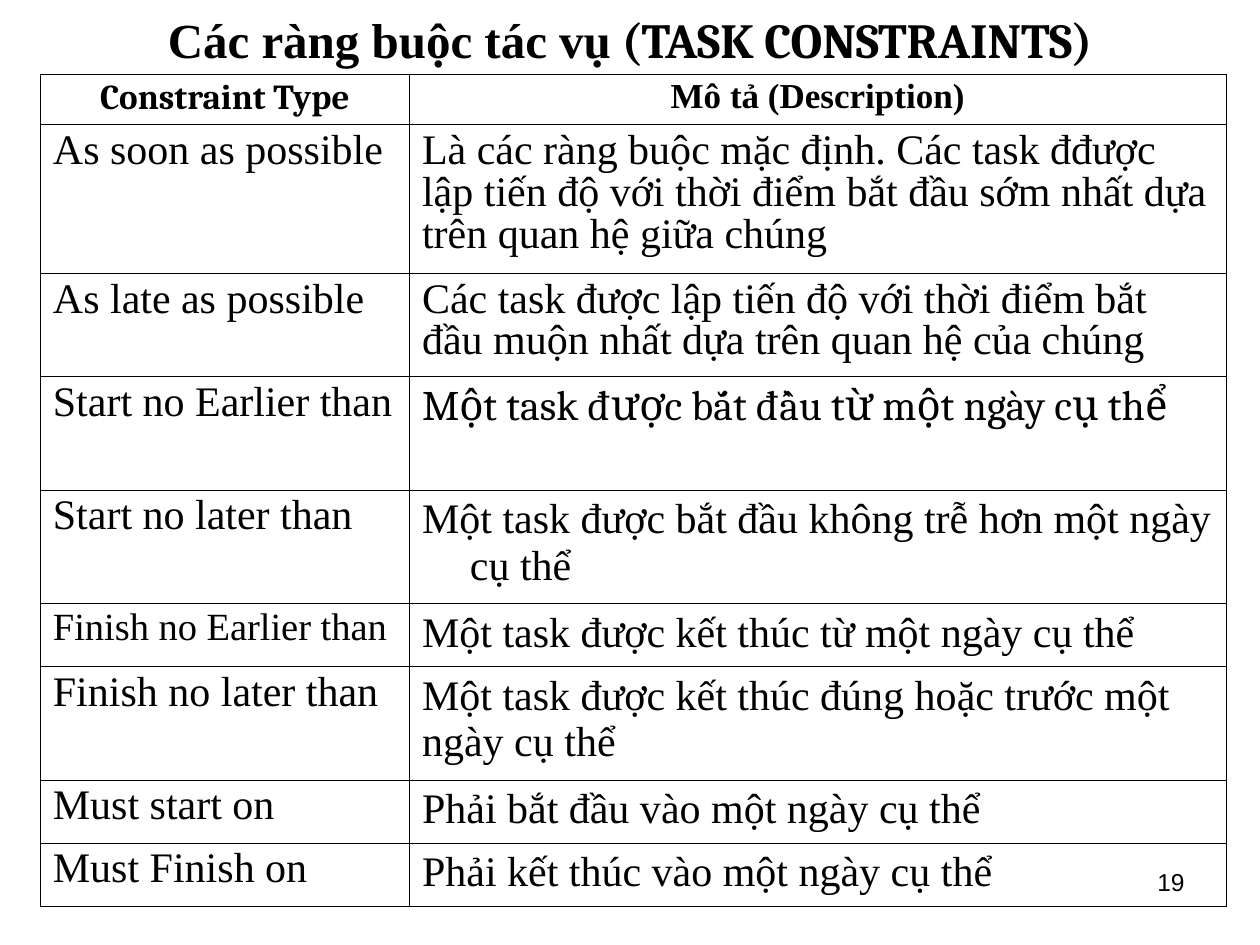
from lxml.etree import SubElement
from pptx import Presentation
from pptx.dml.color import RGBColor
from pptx.enum.text import MSO_ANCHOR as Anchor, MSO_AUTO_SIZE as AutoSize, PP_ALIGN as Align
from pptx.oxml.ns import qn
from pptx.util import Inches, Pt

COLORS = {"text": "000000", "border": "000000"}
SERIF, CAMBRIA, SANS = "Times New Roman", "Cambria", "Arial"
HANGING = 0.38
COLUMN_WIDTHS = [2.93, 6.48]

# Row height, constraint type, description, and the formats that differ
CONSTRAINTS = [
    (1.18, "As soon as possible",
     "Là các ràng buộc mặc định. Các task đđược lập tiến độ với thời điểm bắt đầu sớm nhất "
     "dựa trên quan hệ giữa chúng", {}, {"spacing": 0.9}),
    (0.82, "As late as possible",
     "Các task được lập tiến độ với thời điểm bắt đầu muộn nhất dựa trên quan hệ của chúng",
     {}, {"spacing": 0.9}),
    (0.9, "Start no Earlier than", "Một task được bắt đầu từ một ngày cụ thể",
     {}, {"before": 6, "hanging": HANGING, "font": CAMBRIA}),
    (0.9, "Start no later than", "Một task được bắt đầu không trễ hơn một ngày cụ thể",
     {}, {"before": 6, "hanging": HANGING}),
    (0.5, "Finish no Earlier than", "Một task được kết thúc từ một ngày cụ thể",
     {"size": 22}, {"before": 6, "hanging": HANGING}),
    (0.9, "Finish no later than", "Một task được kết thúc đúng hoặc trước một ngày cụ thể",
     {}, {"before": 6}),
    (0.5, "Must start on", "Phải bắt đầu vào một ngày cụ thể", {}, {"before": 6}),
    (0.5, "Must Finish on", "Phải kết thúc vào một ngày cụ thể", {}, {"before": 6}),
]


class SlideBuilder:
    def __init__(self, slide):
        self.slide = slide

    def style_run(self, run, font, size, bold=False):
        run.font.name = font
        run.font.size = Pt(size)
        run.font.bold = bold
        run.font.color.rgb = RGBColor.from_string(COLORS["text"])

    def place(self, shape, left, top, width, height):
        shape.left, shape.top = Inches(left), Inches(top)
        shape.width, shape.height = Inches(width), Inches(height)

    def title(self, parts, box):
        title = self.slide.shapes.title
        self.place(title, *box)
        frame = title.text_frame
        frame.auto_size = AutoSize.NONE
        frame.vertical_anchor = Anchor.MIDDLE
        heading = frame.paragraphs[0]
        heading.alignment = Align.CENTER
        for words, font in parts:
            run = heading.add_run()
            run.text = words
            self.style_run(run, font, 28, bold=True)

    def page_number(self, number, box):
        frame = self.slide.shapes.add_textbox(*map(Inches, box)).text_frame
        frame.word_wrap = True
        frame.text = number
        frame.paragraphs[0].alignment = Align.RIGHT
        self.style_run(frame.paragraphs[0].runs[0], SANS, 14)

    def table(self, rows, heights, widths, left, top):
        frame = self.slide.shapes.add_table(
            len(rows), len(widths), Inches(left), Inches(top),
            Inches(sum(widths)), Inches(sum(heights)))
        table = frame.table
        table.first_row = table.horz_banding = False
        for column, width in zip(table.columns, widths):
            column.width = Inches(width)
        for row, height, contents in zip(table.rows, heights, rows):
            row.height = Inches(height)
            for cell, (words, style) in zip(row.cells, contents):
                self.cell(cell, words, **style)

    def cell(self, cell, words, font=SERIF, size=24, bold=False, align=Align.LEFT,
             spacing=1.0, before=0, hanging=0):
        cell.text_frame.text = words
        paragraph = cell.text_frame.paragraphs[0]
        paragraph.alignment = align
        paragraph.line_spacing = spacing
        paragraph.space_before = Pt(before)
        properties = paragraph._p.get_or_add_pPr()
        properties.set("marL", str(Inches(hanging)))
        properties.set("indent", str(-Inches(hanging)))
        self.style_run(paragraph.runs[0], font, size, bold)
        self.borders(cell)
        cell.fill.background()

    def borders(self, cell):
        properties = cell._tc.get_or_add_tcPr()
        for side in ("a:lnL", "a:lnR", "a:lnT", "a:lnB"):
            line = SubElement(properties, qn(side), w=str(Pt(0.45)))
            fill = SubElement(line, qn("a:solidFill"))
            SubElement(fill, qn("a:srgbClr"), val=COLORS["border"])


def main():
    presentation = Presentation()
    presentation.slide_width, presentation.slide_height = Inches(10), Inches(7.5)
    title_only = presentation.slide_layouts[5]
    builder = SlideBuilder(presentation.slides.add_slide(title_only))

    # Page number and title
    builder.page_number("19", (7.17, 6.83, 2.33, 0.52))
    builder.title([("Các ràng buộc tác vụ", SERIF), (" (TASK CONSTRAINTS)", CAMBRIA)],
                  (0.5, 0, 9, 0.62))

    # Table of constraints
    type_style = {"spacing": 0.9, "hanging": HANGING}
    header_style = {**type_style, "size": 20, "bold": True, "align": Align.CENTER}
    rows = [[("Constraint Type", {**header_style, "font": CAMBRIA}),
             ("Mô tả (Description)", header_style)]]
    heights = [0.4]
    for height, constraint, description, type_extra, description_style in CONSTRAINTS:
        heights.append(height)
        rows.append([(constraint, {**type_style, **type_extra}),
                     (description, description_style)])
    builder.table(rows, heights, COLUMN_WIDTHS, 0.32, 0.59)

    presentation.save("out.pptx")


if __name__ == "__main__":
    main()
